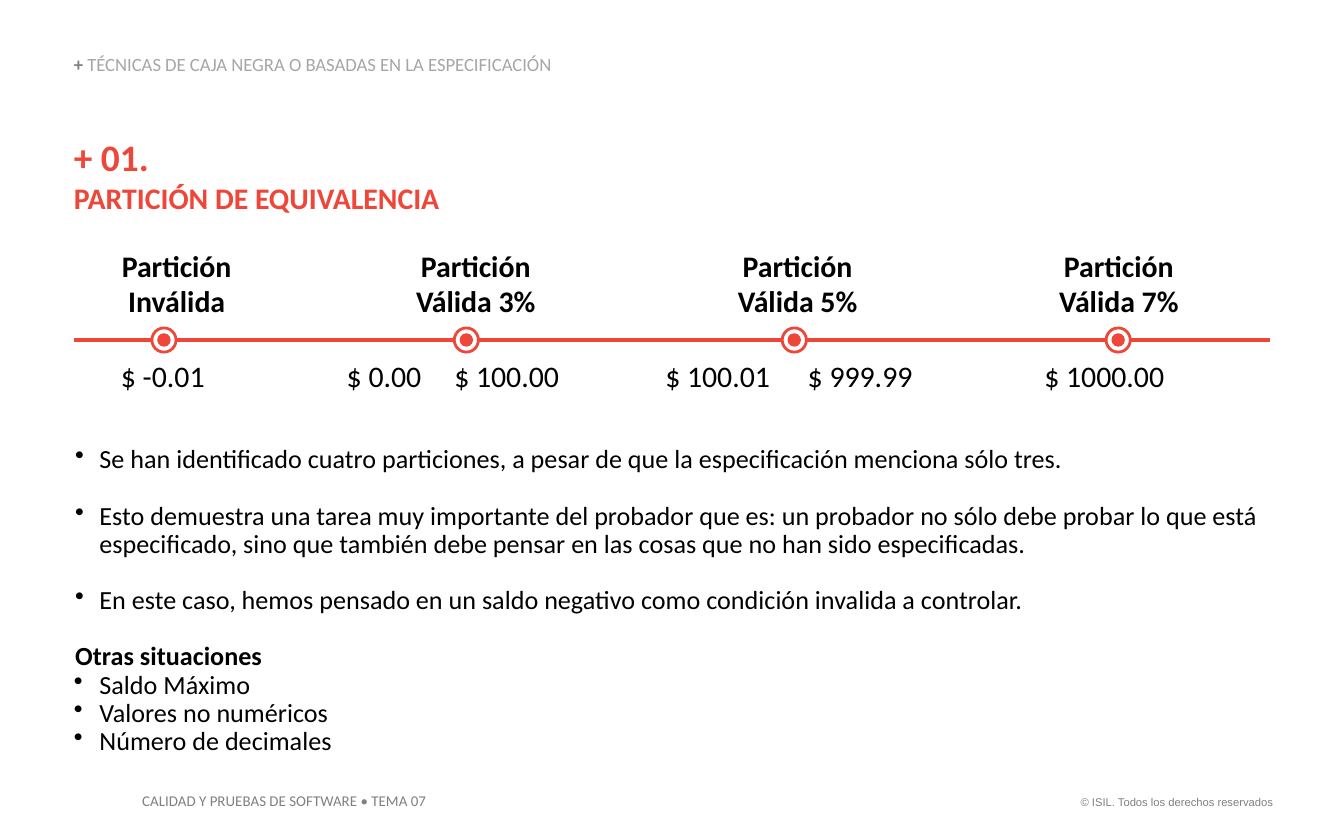
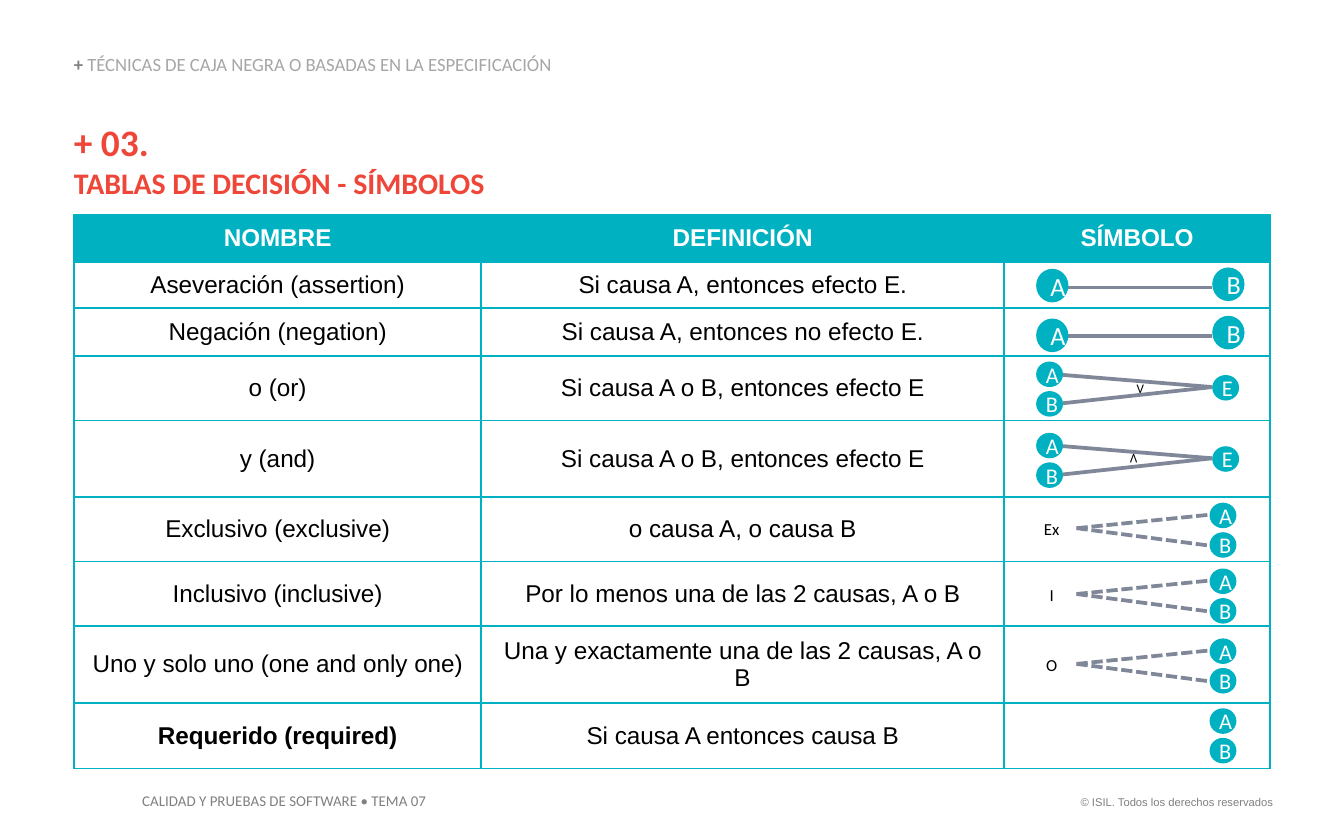
from dataclasses import dataclass

from lxml import etree
from pptx import Presentation
from pptx import util as u
from pptx.dml.color import RGBColor
from pptx.enum import dml, shapes, text
from pptx.oxml.ns import qn

PX = 9144  # EMU in one px; 100 px make an inch


@dataclass(frozen=True)
class Theme:
    red: RGBColor = RGBColor(0xEE, 0x46, 0x39)
    teal: RGBColor = RGBColor(0x00, 0xB1, 0xC2)
    slate: RGBColor = RGBColor(0x80, 0x87, 0x99)
    gray: RGBColor = RGBColor(0x80, 0x80, 0x80)
    light_gray: RGBColor = RGBColor(0xA6, 0xA6, 0xA6)
    black: RGBColor = RGBColor(0, 0, 0)
    white: RGBColor = RGBColor(0xFF, 0xFF, 0xFF)
    body_font: str = "Calibri"
    table_font: str = "Arial"
    number_size: int = 20
    title_size: int = 16
    body_size: int = 14
    table_size: int = 13
    small_node_size: int = 12
    header_size: int = 10
    label_size: int = 9
    footer_size: int = 8
    operator_size: int = 7
    copyright_size: int = 6


theme = Theme()
LEFT, CENTER, RIGHT = text.PP_ALIGN.LEFT, text.PP_ALIGN.CENTER, text.PP_ALIGN.RIGHT


def add_text(slide, box, lines, size, color=theme.black, bold=False, align=LEFT,
             font=theme.body_font, inset=(0, 0), wrap=True):
    """Add a text box with one paragraph per line; inset is (sides, top and bottom)."""
    shape = slide.shapes.add_textbox(*[value * PX for value in box])
    frame = shape.text_frame
    frame.word_wrap = wrap
    frame.margin_left = frame.margin_right = inset[0] * PX
    frame.margin_top = frame.margin_bottom = inset[1] * PX
    frame.text = "\n".join(lines)
    for paragraph in frame.paragraphs:
        paragraph.alignment = align
        paragraph.font.name, paragraph.font.size = font, u.Pt(size)
        paragraph.font.bold, paragraph.font.color.rgb = bold, color
    return shape


def add_line(slide, start, end, color, width, dash=None):
    line = slide.shapes.add_connector(
        shapes.MSO_CONNECTOR.STRAIGHT, *[value * PX for value in (*start, *end)])
    line.line.color.rgb, line.line.width = color, u.Pt(width)
    if dash:
        line.line.dash_style = dash
    etree.SubElement(line._element.spPr, qn("a:effectLst"))


presentation = Presentation()
presentation.slide_width, presentation.slide_height = 1000 * PX, 625 * PX

# Parts shared by both slides
slides = []
for number, name, title_top in (("+ 01.", "PARTICIÓN DE EQUIVALENCIA", 100),
                                ("+ 03.", "TABLAS DE DECISIÓN - SÍMBOLOS", 89)):
    slide = presentation.slides.add_slide(presentation.slide_layouts[5])
    slides.append(slide)

    title = slide.shapes.title
    title.left, title.top, title.width, title.height = [
        value * PX for value in (55, title_top, 882, 61)]
    frame = title.text_frame
    frame.auto_size = text.MSO_AUTO_SIZE.NONE
    frame.vertical_anchor = text.MSO_ANCHOR.TOP
    frame.margin_left = frame.margin_right = frame.margin_top = frame.margin_bottom = 0
    paragraph = frame.paragraphs[0]
    paragraph.alignment, paragraph.space_after = LEFT, u.Pt(6)
    paragraph.font.name, paragraph.font.bold = theme.body_font, True
    paragraph.font.color.rgb = theme.red
    number_run = paragraph.add_run()
    number_run.text, number_run.font.size = number, u.Pt(theme.number_size)
    paragraph.add_line_break()
    name_run = paragraph.add_run()
    name_run.text, name_run.font.size = name, u.Pt(theme.title_size)

    header = add_text(slide, (55, 41, 400, 15), ["+ "], theme.header_size, theme.gray)
    header.text_frame.vertical_anchor = text.MSO_ANCHOR.BOTTOM
    paragraph = header.text_frame.paragraphs[0]
    paragraph.line_spacing = 0.9
    paragraph.runs[0].font.bold = True
    section_run = paragraph.add_run()
    section_run.text = "TÉCNICAS DE CAJA NEGRA O BASADAS EN LA ESPECIFICACIÓN"
    section_run.font.color.rgb = theme.light_gray

    add_text(slide, (96, 584, 237, 24), ["CALIDAD Y PRUEBAS DE SOFTWARE • TEMA 07"],
             theme.footer_size, theme.gray, inset=(10, 5), wrap=False)
    add_text(slide, (788, 587, 169, 20), ["© ISIL. Todos los derechos reservados"],
             theme.copyright_size, theme.gray, align=RIGHT, font=theme.table_font,
             inset=(10, 5), wrap=False)

partition_slide, symbol_slide = slides

# Slide 1: number line with the four partitions
add_line(partition_slide, (55, 253), (945, 253), theme.red, 2.25)
partitions = [  # kind, label left, label width, marker left
    ("Inválida", 80, 103, 113),
    ("Válida 3%", 290, 128, 338),
    ("Válida 5%", 536, 115, 582),
    ("Válida 7%", 775, 115, 823),
]
for kind, label_left, label_width, marker_left in partitions:
    add_text(partition_slide, (label_left, 184, label_width, 54), ["Partición", kind],
             theme.title_size, bold=True, align=CENTER)
    for offset, diameter, fill in ((0, 18, theme.white), (4, 10, theme.red)):
        dot = partition_slide.shapes.add_shape(
            shapes.MSO_SHAPE.OVAL, (marker_left + offset) * PX, (244 + offset) * PX,
            diameter * PX, diameter * PX)
        dot.shadow.inherit = False
        dot.fill.solid()
        dot.fill.fore_color.rgb = fill
        if offset:
            dot.line.fill.background()
        else:
            dot.line.color.rgb, dot.line.width = theme.red, u.Pt(1.5)

amounts = [("$ -0.01", 90), ("$ 0.00", 258), ("$ 100.00", 338),
           ("$ 100.01", 495), ("$ 999.99", 601), ("$ 1000.00", 777)]
for amount, left in amounts:
    add_text(partition_slide, (left, 266, 111, 27), [amount], theme.title_size)

# Slide 1: conclusions
conclusions = [
    "Se han identificado cuatro particiones, a pesar de que la especificación menciona sólo tres.",
    "Esto demuestra una tarea muy importante del probador que es: un probador no sólo debe probar "
    "lo que está especificado, sino que también debe pensar en las cosas que no han sido "
    "especificadas.",
    "En este caso, hemos pensado en un saldo negativo como condición invalida a controlar.",
]
heading = "Otras situaciones"
situations = ["Saldo Máximo", "Valores no numéricos", "Número de decimales"]
body = add_text(partition_slide, (55, 332, 900, 233),
                [*conclusions, heading, *situations], theme.body_size)
for index, paragraph in enumerate(body.text_frame.paragraphs):
    paragraph.line_spacing = 0.9
    if 0 < index <= len(conclusions):
        paragraph.space_before = u.Pt(15)
    properties = paragraph._p.get_or_add_pPr()
    if paragraph.text == heading:
        properties.set("marL", str(PX))
        paragraph.font.bold = True
        continue
    hanging = 18 if index < len(conclusions) else 19
    properties.set("marL", str(19 * PX))
    properties.set("indent", str(-hanging * PX))
    bullet = etree.Element(qn("a:buChar"), char="•")
    properties.find(qn("a:defRPr")).addprevious(bullet)

# Slide 2: table
rows = [
    ("NOMBRE", "DEFINICIÓN", "SÍMBOLO"),
    ("Aseveración (assertion)", "Si causa A, entonces efecto E.", ""),
    ("Negación (negation)", "Si causa A, entonces no efecto E.", ""),
    ("o (or)", "Si causa A o B, entonces efecto E", ""),
    ("y (and)", "Si causa A o B, entonces efecto E", ""),
    ("Exclusivo (exclusive)", "o causa A, o causa B", ""),
    ("Inclusivo (inclusive)", "Por lo menos una de las 2 causas, A o B", ""),
    ("Uno y solo uno (one and only one)", "Una y exactamente una de las 2 causas, A o B", ""),
    ("Requerido (required)", "Si causa A entonces causa B", ""),
]
column_widths = (303, 389, 198)
row_heights = (35, 34, 36, 48, 57, 48, 48, 57, 49)
table = symbol_slide.shapes.add_table(
    len(rows), len(column_widths), 55 * PX, 160 * PX,
    sum(column_widths) * PX, sum(row_heights) * PX).table
table.horz_banding = False
for column, width in zip(table.columns, column_widths):
    column.width = width * PX
for row_index, (row, height) in enumerate(zip(rows, row_heights)):
    table.rows[row_index].height = height * PX
    is_header = row_index == 0
    for column_index, content in enumerate(row):
        cell = table.cell(row_index, column_index)
        cell.text = content
        cell.vertical_anchor = text.MSO_ANCHOR.MIDDLE
        cell.margin_left = cell.margin_right = 9 * PX
        cell.margin_top = cell.margin_bottom = 4 * PX
        paragraph = cell.text_frame.paragraphs[0]
        paragraph.alignment = CENTER
        paragraph.font.name, paragraph.font.size = theme.table_font, u.Pt(theme.table_size)
        paragraph.font.bold = is_header or (row_index == len(rows) - 1 and column_index == 0)
        paragraph.font.color.rgb = theme.white if is_header else theme.black
        if not content:
            etree.SubElement(paragraph._p, qn("a:endParaRPr"), sz=str(theme.table_size * 100))
        cell_properties = cell._tc.get_or_add_tcPr()
        for side in ("a:lnL", "a:lnR", "a:lnT", "a:lnB"):
            border = etree.SubElement(cell_properties, qn(side), w=str(u.Pt(1)))
            border_fill = etree.SubElement(border, qn("a:solidFill"))
            etree.SubElement(border_fill, qn("a:srgbClr"), val=str(theme.teal))
        cell.fill.solid()
        cell.fill.fore_color.rgb = theme.teal if is_header else theme.white

# Slide 2: symbols, gathered as nodes and links
large = (24, 25, theme.body_size)
small = (20, 19, theme.small_node_size)
nodes = []  # letter, left, top, (width, height, type size)
links = []  # start, end, dash

for cause_top, effect_top, link_y in ((200, 199, 214), (237, 235, 250)):
    nodes += [("A", 771, cause_top, large), ("B", 902, effect_top, large)]
    links.append(((795, link_y), (902, link_y), None))

for top, rotation in ((269, 0), (322, 180)):
    nodes += [("A", 771, top, small), ("B", 771, top + 22, small), ("E", 902, top + 10, small)]
    links += [((791, top + y), (902, top + 19), None) for y in (10, 31)]
    operator = add_text(symbol_slide, (836, top + 9, 20, 22), ["V"], theme.operator_size,
                        align=CENTER, inset=(10, 5))
    operator.rotation = rotation

for label, top in (("Ex", 374), ("I", 423), ("O", 475), (None, 527)):
    nodes += [("A", 900, top, small), ("B", 900, top + 22, small)]
    if label:
        links += [((801, top + 19), (900, top + y), dml.MSO_LINE.SQUARE_DOT) for y in (9, 32)]
        add_text(symbol_slide, (764, top + 7, 37, 25), [label], theme.label_size,
                 align=CENTER, inset=(10, 5))

for start, end, dash in links:
    add_line(symbol_slide, start, end, theme.slate, 2, dash)
for letter, left, top, (width, height, size) in nodes:
    node = symbol_slide.shapes.add_shape(
        shapes.MSO_SHAPE.OVAL, left * PX, top * PX, width * PX, height * PX)
    node.shadow.inherit = False
    node.fill.solid()
    node.fill.fore_color.rgb = theme.teal
    node.line.fill.background()
    node.text_frame.text = letter
    paragraph = node.text_frame.paragraphs[0]
    paragraph.alignment = CENTER
    paragraph.font.name, paragraph.font.size = theme.body_font, u.Pt(size)
    paragraph.font.color.rgb = theme.white

presentation.save("out.pptx")
